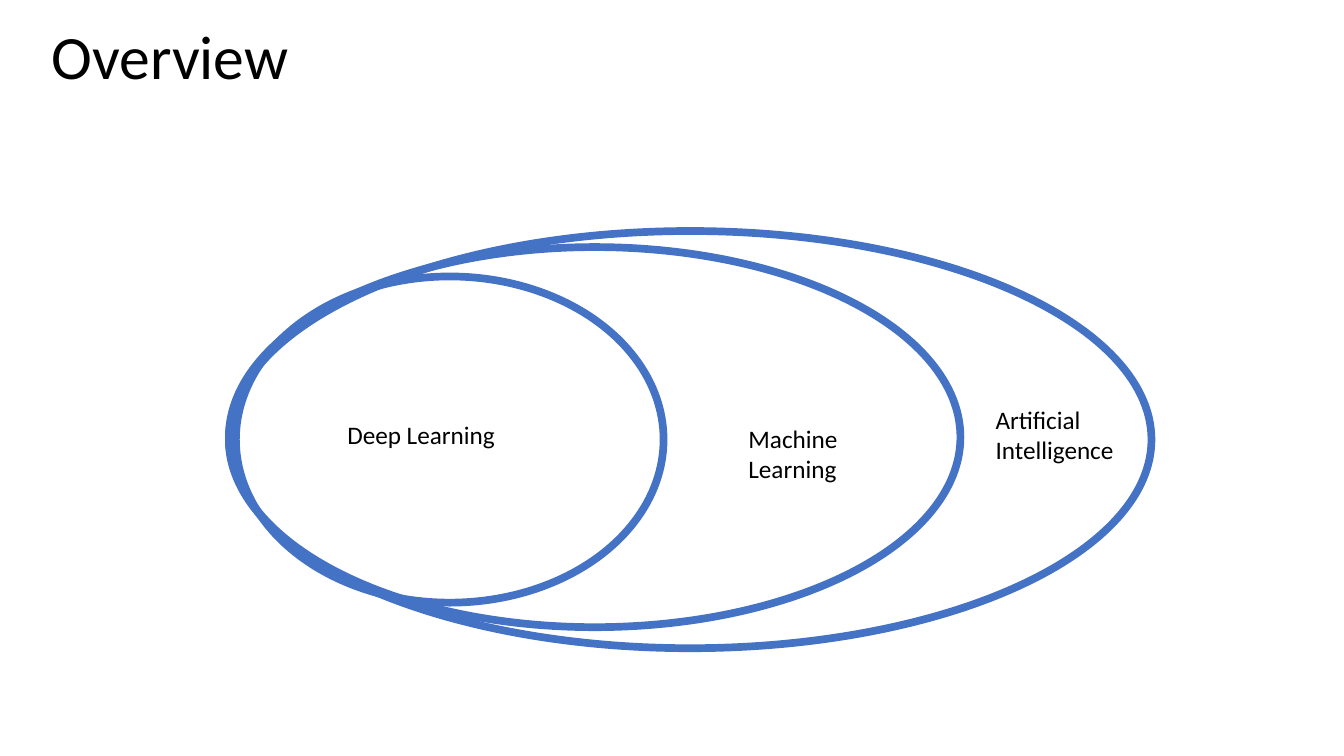
from pptx import Presentation
from pptx.dml.color import RGBColor
from pptx.enum.shapes import MSO_SHAPE as Preset
from pptx.enum.text import MSO_ANCHOR as Anchor, MSO_AUTO_SIZE as AutoSize, PP_ALIGN as Align
from pptx.util import Pt

RING_BLUE = "4472C4"
BLACK = "000000"
RING_WEIGHT = 5.5

FIELD_RINGS = [
    (163.5, 165, 659, 298),
    (163.5, 176.5, 522.5, 271.5),
    (168.5, 197.5, 305.5, 233),
]
FIELD_LABELS = [
    ("Artificial Intelligence", (704, 285, 109.5, 51)),
    ("Deep Learning", (241, 296, 143.5, 29)),
    ("Machine Learning", (527.5, 299, 109.5, 51)),
]


def color(hex_value):
    return RGBColor.from_string(hex_value)


def apply(target, formats):
    for name, value in formats.items():
        setattr(target, name, value)


def write(frame, wording, size, frame_formats, line_spacing):
    apply(frame, {"word_wrap": True, **frame_formats})
    frame.text = wording
    paragraph = frame.paragraphs[0]
    apply(paragraph, {"alignment": Align.LEFT, "line_spacing": line_spacing})
    font = paragraph.runs[0].font
    apply(font, {"name": "Calibri", "size": Pt(size)})
    font.color.rgb = color(BLACK)


def set_title(slide, wording, box):
    title = slide.shapes.title
    apply(title, dict(zip(("left", "top", "width", "height"), map(Pt, box))))
    formats = {"vertical_anchor": Anchor.MIDDLE, "auto_size": AutoSize.NONE}
    write(title.text_frame, wording, 44, formats, 0.9)


def add_ring(slide, box):
    ring = slide.shapes.add_shape(Preset.OVAL, *map(Pt, box))
    ring.shadow.inherit = False
    ring.fill.background()
    ring.line.color.rgb = color(RING_BLUE)
    ring.line.width = Pt(RING_WEIGHT)


def add_label(slide, wording, box):
    label = slide.shapes.add_textbox(*map(Pt, box))
    formats = {"vertical_anchor": Anchor.TOP, "auto_size": AutoSize.SHAPE_TO_FIT_TEXT}
    write(label.text_frame, wording, 18, formats, 1.0)


def main():
    deck = Presentation()
    apply(deck, {"slide_width": Pt(960), "slide_height": Pt(540)})
    slide = deck.slides.add_slide(deck.slide_layouts.get_by_name("Title Only"))
    set_title(slide, "Overview", (29.5, -9.5, 828, 104.5))
    for box in FIELD_RINGS:
        add_ring(slide, box)
    for wording, box in FIELD_LABELS:
        add_label(slide, wording, box)
    deck.save("out.pptx")


if __name__ == "__main__":
    main()
